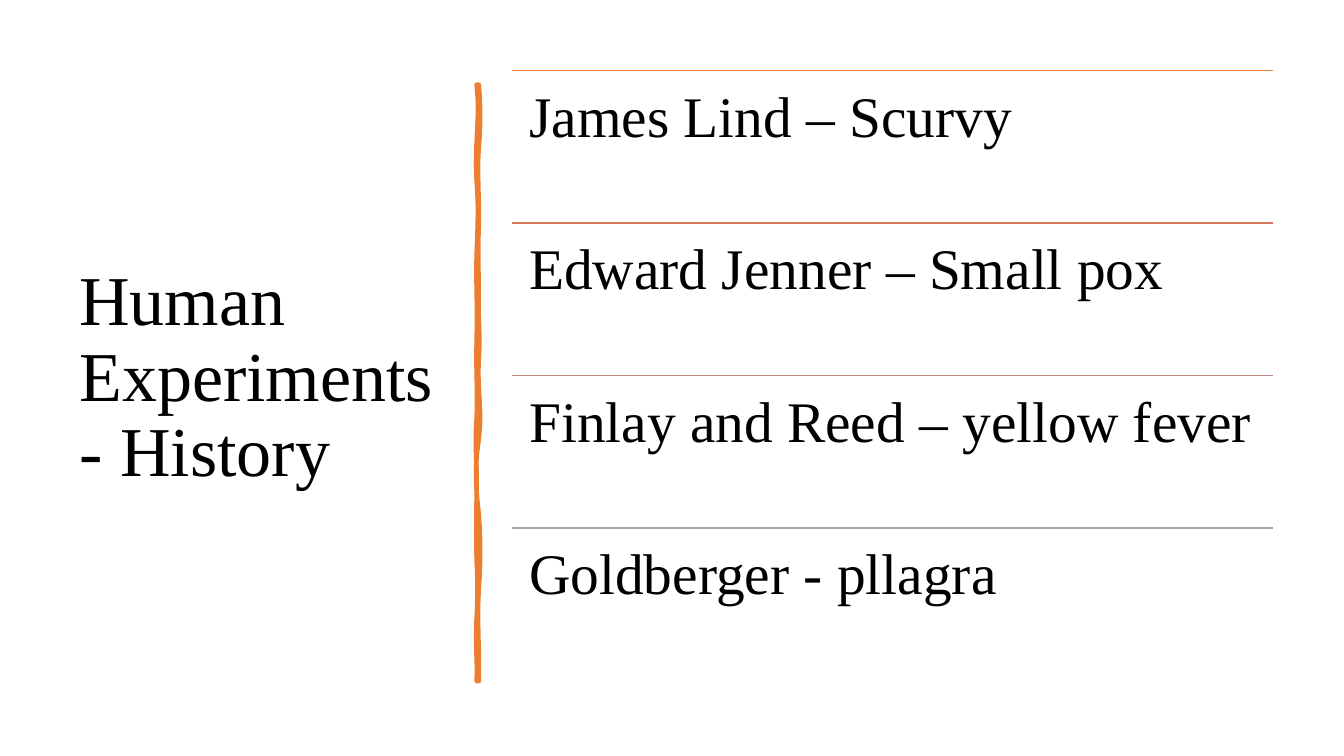
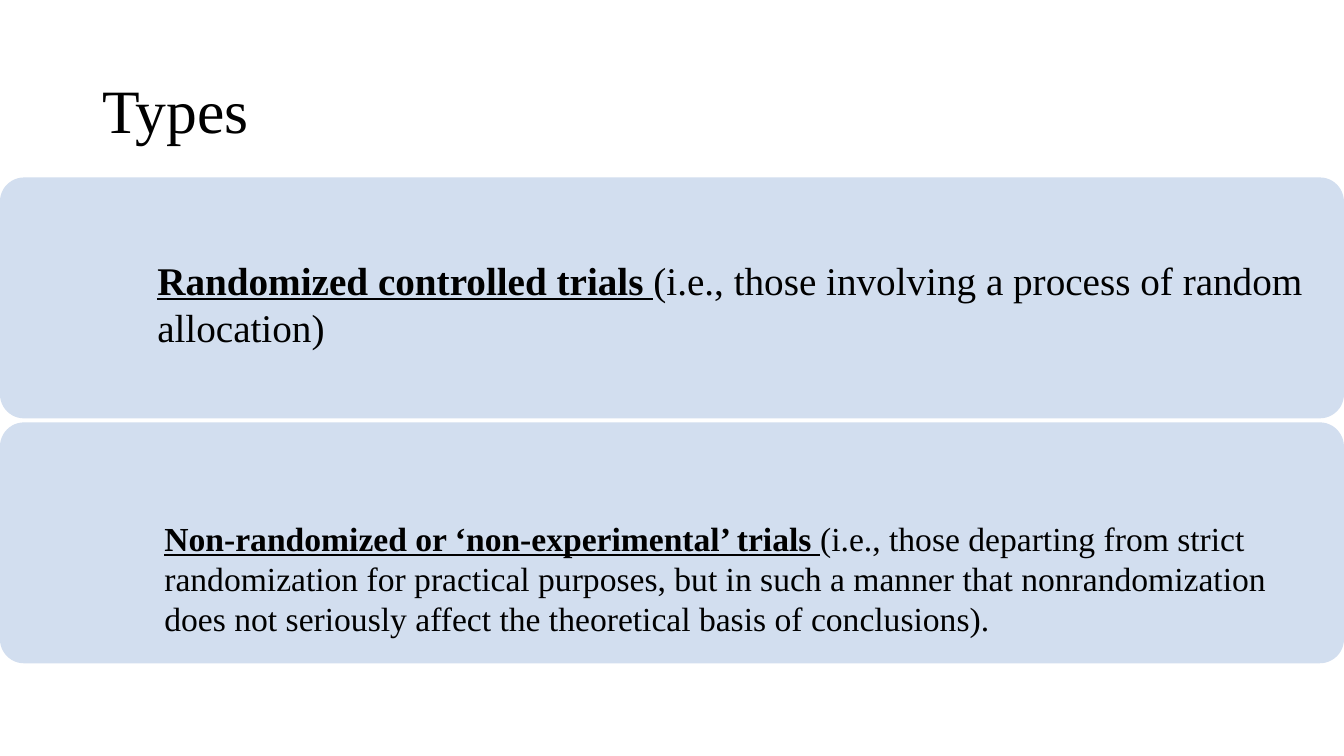
from dataclasses import dataclass

from pptx import Presentation
from pptx.dml.color import RGBColor
from pptx.enum.shapes import MSO_CONNECTOR as Connector, MSO_SHAPE as Shape
from pptx.enum.text import MSO_ANCHOR as Anchor
from pptx.oxml.ns import qn
from pptx.util import Inches, Pt

WIDTH, HEIGHT = Inches(13.333), Inches(7.5)


@dataclass(frozen=True)
class Theme:
    font: str = "Times New Roman"
    text: str = "000000"
    accent: str = "ED7D31"
    band: str = "D2DEEF"
    rules: tuple = ("ED7D31", "D17B5C", "B98A82", "A5A5A5")
    side_title: int = 50
    title: int = 44
    item: int = 41
    rule_width: float = 1
    brush_width: float = 3.25


THEME = Theme()


# Grid: 100 columns by 100 rows over the slide
def column(number):
    return round(WIDTH * number / 100)


def row(number):
    return round(HEIGHT * number / 100)


def area(left, top, width, height):
    return column(left), row(top), column(width), row(height)


def color(value):
    return RGBColor.from_string(value)


# Text: runs are (text, emphasized) pairs
def add_text(slide, place, runs, size, inset=None, anchor=Anchor.TOP, spacing=0.9):
    frame = slide.shapes.add_textbox(*area(*place)).text_frame
    frame.word_wrap = True
    frame.vertical_anchor = anchor
    if inset is not None:
        frame.margin_left = frame.margin_right = Inches(inset)
        frame.margin_top = frame.margin_bottom = Inches(inset)
    paragraph = frame.paragraphs[0]
    paragraph.line_spacing = spacing
    paragraph.font.name = THEME.font
    paragraph.font.size = Pt(size)
    paragraph.font.color.rgb = color(THEME.text)
    for text, emphasized in runs:
        run = paragraph.add_run()
        run.text = text
        if emphasized:
            run.font.bold = run.font.underline = True


def add_title(slide, place, text, size):
    add_text(slide, place, [(text, False)], size, anchor=Anchor.MIDDLE)


# Shapes
def add_rule(slide, left, right, top, line_color):
    rule = slide.shapes.add_connector(
        Connector.STRAIGHT, column(left), row(top), column(right), row(top))
    rule.line.color.rgb = color(line_color)
    rule.line.width = Pt(THEME.rule_width)
    properties = rule._element.spPr
    properties.append(properties.makeelement(qn("a:effectLst"), {}))


def add_band(slide, place):
    band = slide.shapes.add_shape(Shape.ROUNDED_RECTANGLE, *area(*place))
    band.adjustments[0] = 0.1
    band.shadow.inherit = False
    band.fill.solid()
    band.fill.fore_color.rgb = color(THEME.band)
    band.line.fill.background()


def wavy_edge(x, knots, bends, steps=6):
    """Points along a vertical edge; each bend pair bows one stretch, in 0.01 inch."""
    points = [(column(x), row(knots[0]))]
    for start, end, (first, second) in zip(knots, knots[1:], bends):
        for step in range(1, steps + 1):
            t = step / steps
            bow = 3 * t * (1 - t) * (first * (1 - t) + second * t)
            points.append((column(x) + Inches(bow / 100),
                           row(start + (end - start) * t)))
    return points


def add_brush_stroke(slide):
    right = wavy_edge(
        35.62, [11.2, 19.5, 30.1, 39.2, 47.5, 58.1, 68, 77.9, 90.1],
        [(2, 2), (-2, 1), (-1, 0), (-1, 2), (-2, 4), (-4, -3), (2, 2), (-2, 1)])
    left = wavy_edge(
        35.47, [90.1, 81.7, 74.3, 63.6, 55.3, 44.7, 33.3, 24.1, 11.2],
        [(1, -2), (1, 1), (-1, 0), (0, -2), (1, -1), (1, -1), (1, 2), (-3, 4)])
    builder = slide.shapes.build_freeform(*right[0])
    builder.add_line_segments(right[1:] + left, close=True)
    stroke = builder.convert_to_shape()
    stroke.shadow.inherit = False
    stroke.fill.solid()
    stroke.fill.fore_color.rgb = color(THEME.accent)
    stroke.line.color.rgb = color(THEME.accent)
    stroke.line.width = Pt(THEME.brush_width)
    outline = stroke.line._get_or_add_ln()
    outline.append(outline.makeelement(qn("a:round"), {}))


# Slides
def add_blank(presentation):
    return presentation.slides.add_slide(presentation.slide_layouts[6])


def build_history(presentation):
    slide = add_blank(presentation)
    add_title(slide, (5.17, 9.33, 28.05, 81.47),
              "Human Experiments - History", THEME.side_title)
    add_brush_stroke(slide)
    items = ["James Lind – Scurvy", "Edward Jenner – Small pox",
             "Finlay and Reed – yellow fever", "Goldberger - pllagra"]
    left, width, first_top, pitch = 38.1, 56.62, 9.33, 20.17
    for index, (item, rule_color) in enumerate(zip(items, THEME.rules)):
        top = first_top + index * pitch
        add_rule(slide, left, left + width, top, rule_color)
        add_text(slide, (left, top, width, pitch), [(item, False)],
                 THEME.item, inset=0.17)


def build_types(presentation):
    slide = add_blank(presentation)
    add_title(slide, (6.9, 5.33, 86.25, 19.33), "Types", THEME.title)
    # Name, explanation, type size, text left, text offset below the band top
    trials = [
        ("Randomized controlled trials ",
         "(i.e., those involving a process of random allocation)",
         28, 10.65, 7.6),
        ("Non-randomized or ‘non-experimental’ trials ",
         "(i.e., those departing from strict randomization for practical "
         "purposes, but in such a manner that nonrandomization does not "
         "seriously affect the theoretical basis of conclusions).",
         24, 11.18, 11.6),
    ]
    for index, (name, explanation, size, left, offset) in enumerate(trials):
        top = 23.47 + index * 32.4
        add_band(slide, (0, top, 100, 31.87))
        add_text(slide, (left, top + offset, 88.8, 18),
                 [(name, True), (explanation, False)], size,
                 inset=0.14, anchor=Anchor.MIDDLE, spacing=1.0)


def main():
    presentation = Presentation()
    presentation.slide_width, presentation.slide_height = WIDTH, HEIGHT
    build_history(presentation)
    build_types(presentation)
    presentation.save("out.pptx")


if __name__ == "__main__":
    main()
